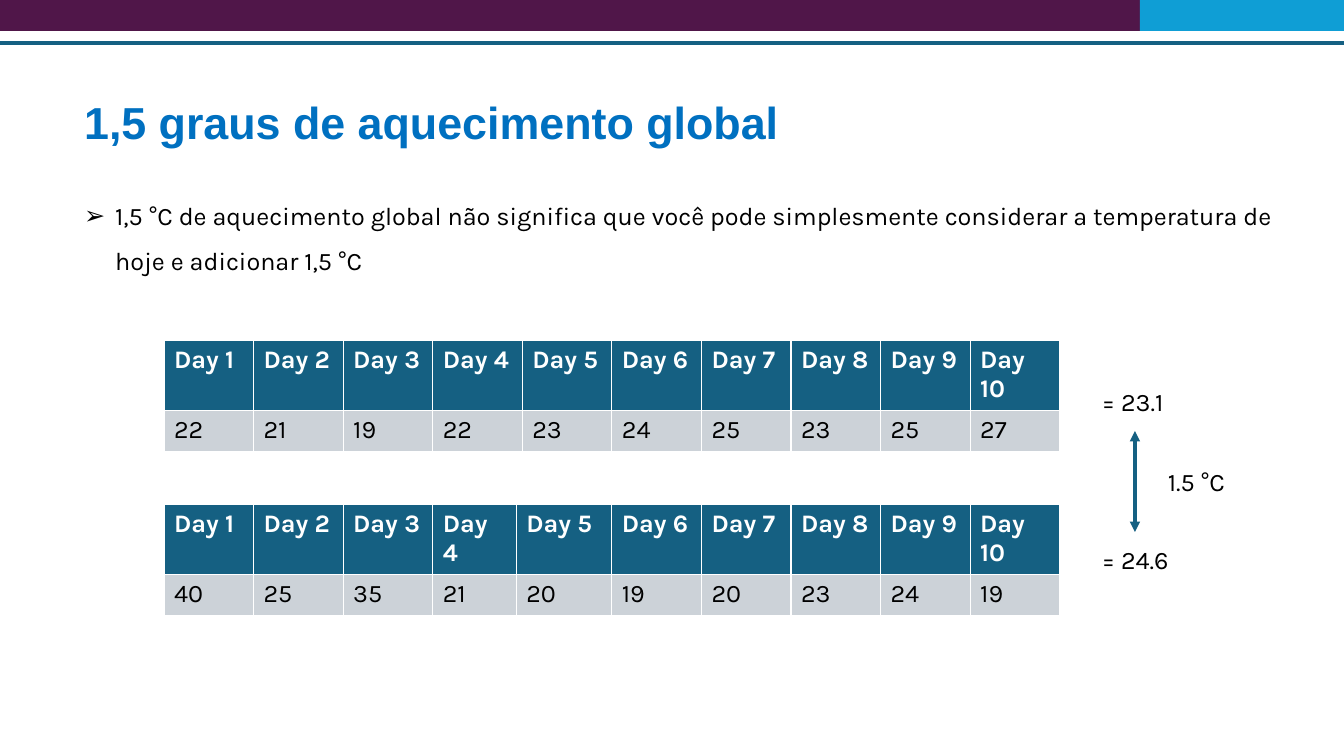
from lxml import etree
from pptx import Presentation
from pptx import util as u
from pptx.dml.color import RGBColor
from pptx.enum import shapes, text
from pptx.oxml.ns import qn

PURPLE = RGBColor(0x50, 0x16, 0x49)
SKY = RGBColor(0x0F, 0x9E, 0xD5)
TEAL = RGBColor(0x15, 0x60, 0x82)
TITLE_BLUE = RGBColor(0x00, 0x70, 0xC0)
GREY = RGBColor(0xCC, 0xD2, 0xD8)
BLACK = RGBColor(0, 0, 0)
WHITE = RGBColor(255, 255, 255)

TITLE = "1,5 graus de aquecimento global"
POINT = ("1,5 °C de aquecimento global não significa que você pode simplesmente "
         "considerar a temperatura de hoje e adicionar 1,5 °C")
# left, width, colour
BANDS = [(-2, 1142, PURPLE), (1140, 224, SKY)]
# top, narrowing of the Day 4 column in favour of Day 5, temperatures
WEEKS = [
    (340, 0, [22, 21, 19, 22, 23, 24, 25, 23, 25, 27]),
    (504, 6, [40, 25, 35, 21, 20, 19, 20, 23, 24, 19]),
]
# left, top, width, wording
LABELS = [
    (1092, 381, 160, "= 23.1"),
    (1092, 539, 160, "= 24.6"),
    (1158, 461, 150, "1.5 °C"),
]
# x1, y1, x2, y2, points, whether it has arrowheads
RULE = (-2, 43, 1344, 43, 2.25, False)
GAP_ARROW = (1135, 431, 1135, 532, 2.5, True)

TABLE_LEFT, TABLE_WIDTH, ROW_HEIGHT = 164, 896, 41
EMU_PER_PX = u.Inches(1) / 100.8


def px(length):
    return u.Emu(round(length * EMU_PER_PX))


def box(*lengths):
    return [px(length) for length in lengths]


def style(paragraph, color=BLACK, size=18, name="Karla", bold=False):
    font = paragraph.font
    font.name, font.size, font.bold = name, u.Pt(size), bold
    font.color.rgb = color


def place(placeholder, *lengths):
    placeholder.left, placeholder.top, placeholder.width, placeholder.height = box(*lengths)


def add_title(slide):
    title = slide.shapes.title
    place(title, 74, 56, 1142, 137)
    title.text_frame.text = TITLE
    title.text_frame.vertical_anchor = text.MSO_ANCHOR.MIDDLE
    heading = title.text_frame.paragraphs[0]
    heading.alignment = text.PP_ALIGN.LEFT
    heading.line_spacing = 0.9
    style(heading, TITLE_BLUE, 32, "Arial", True)


def add_point(slide):
    body = slide.placeholders[1]
    place(body, 74, 180, 1244, 97)
    body.text_frame.text = POINT
    body.text_frame.auto_size = text.MSO_AUTO_SIZE.SHAPE_TO_FIT_TEXT
    point = body.text_frame.paragraphs[0]
    point.line_spacing = 1.5
    point.space_before = u.Pt(0)
    properties = point._p.get_or_add_pPr()
    properties.set("marL", str(px(31)))
    properties.set("indent", str(px(-31)))
    etree.SubElement(properties, qn("a:buFont"), typeface="Arial")
    etree.SubElement(properties, qn("a:buChar"), char="➢")
    style(point)


def add_band(slide, left, width, color):
    band = slide.shapes.add_shape(shapes.MSO_SHAPE.RECTANGLE, *box(left, -4, width, 35))
    band.shadow.inherit = False
    band.fill.solid()
    band.fill.fore_color.rgb = color
    band.line.fill.background()


def add_line(slide, x1, y1, x2, y2, points, arrowheads):
    line = slide.shapes.add_connector(
        shapes.MSO_CONNECTOR.STRAIGHT, *box(x1, y1, x2, y2))
    line.line.color.rgb = TEAL
    line.line.width = u.Pt(points)
    if arrowheads:
        for end in ("a:headEnd", "a:tailEnd"):
            etree.SubElement(line.line._get_or_add_ln(), qn(end), type="triangle")
    etree.SubElement(line._element.spPr, qn("a:effectLst"))


def add_week(slide, top, narrowing, temperatures):
    days = len(temperatures)
    table = slide.shapes.add_table(
        2, days, *box(TABLE_LEFT, top, TABLE_WIDTH, 2 * ROW_HEIGHT)).table
    shift = {3: -narrowing, 4: narrowing}
    for day, temperature in enumerate(temperatures):
        table.columns[day].width = px(TABLE_WIDTH / days + shift.get(day, 0))
        entries = [(f"Day {day + 1}", TEAL, WHITE, True),
                   (str(temperature), GREY, BLACK, False)]
        for row, (wording, fill, color, bold) in enumerate(entries):
            cell = table.cell(row, day)
            cell.text = wording
            cell.fill.solid()
            cell.fill.fore_color.rgb = fill
            style(cell.text_frame.paragraphs[0], color, bold=bold)


def add_label(slide, left, top, width, wording):
    frame = slide.shapes.add_textbox(*box(left, top, width, 40)).text_frame
    frame.word_wrap = True
    frame.auto_size = text.MSO_AUTO_SIZE.SHAPE_TO_FIT_TEXT
    frame.text = wording
    style(frame.paragraphs[0])


def main():
    deck = Presentation()
    deck.slide_width, deck.slide_height = box(1344, 756)
    slide = deck.slides.add_slide(deck.slide_layouts[1])
    add_title(slide)
    for band in BANDS:
        add_band(slide, *band)
    add_line(slide, *RULE)
    add_point(slide)
    for week in WEEKS:
        add_week(slide, *week)
    for label in LABELS:
        add_label(slide, *label)
    add_line(slide, *GAP_ARROW)
    deck.save("out.pptx")


if __name__ == "__main__":
    main()
